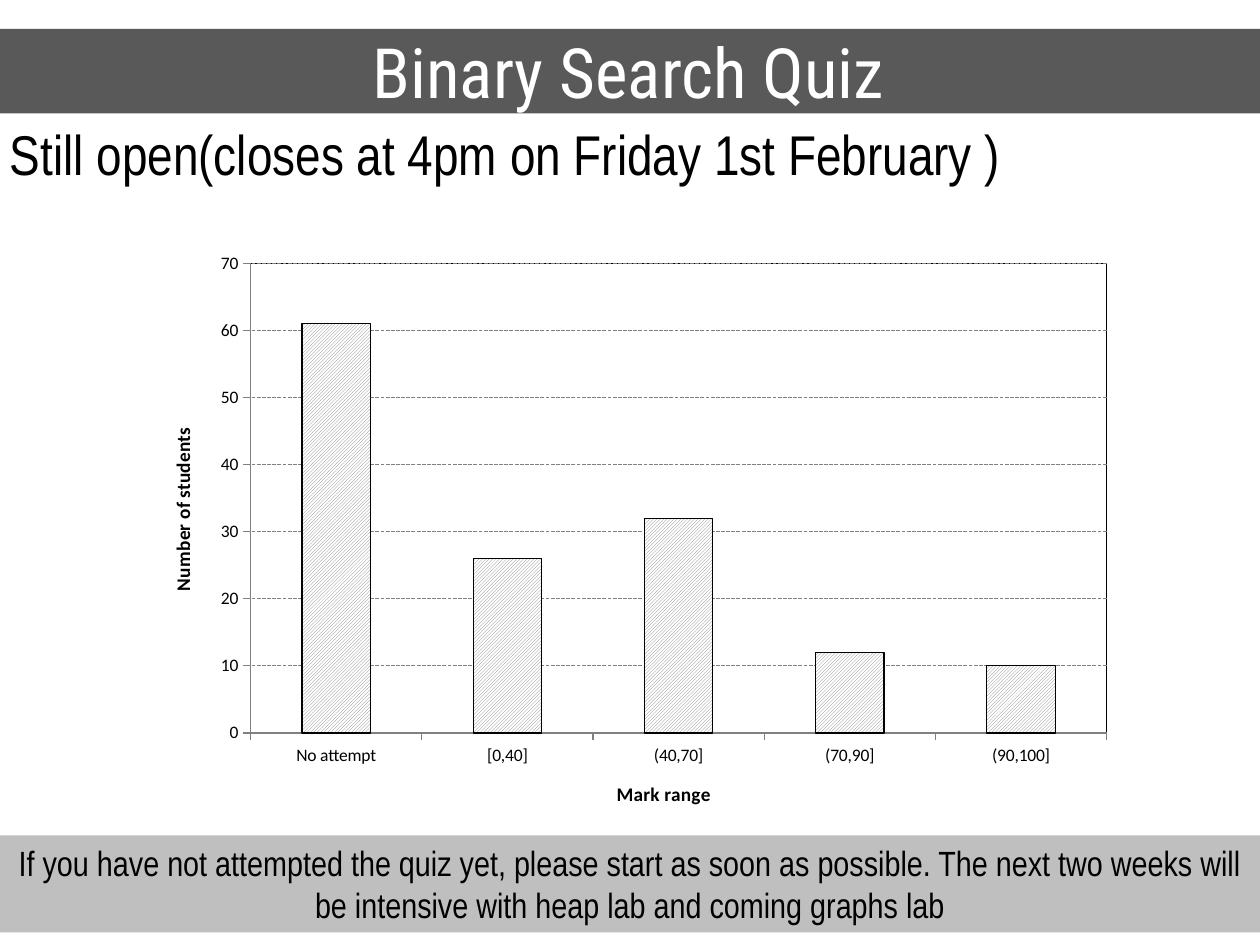
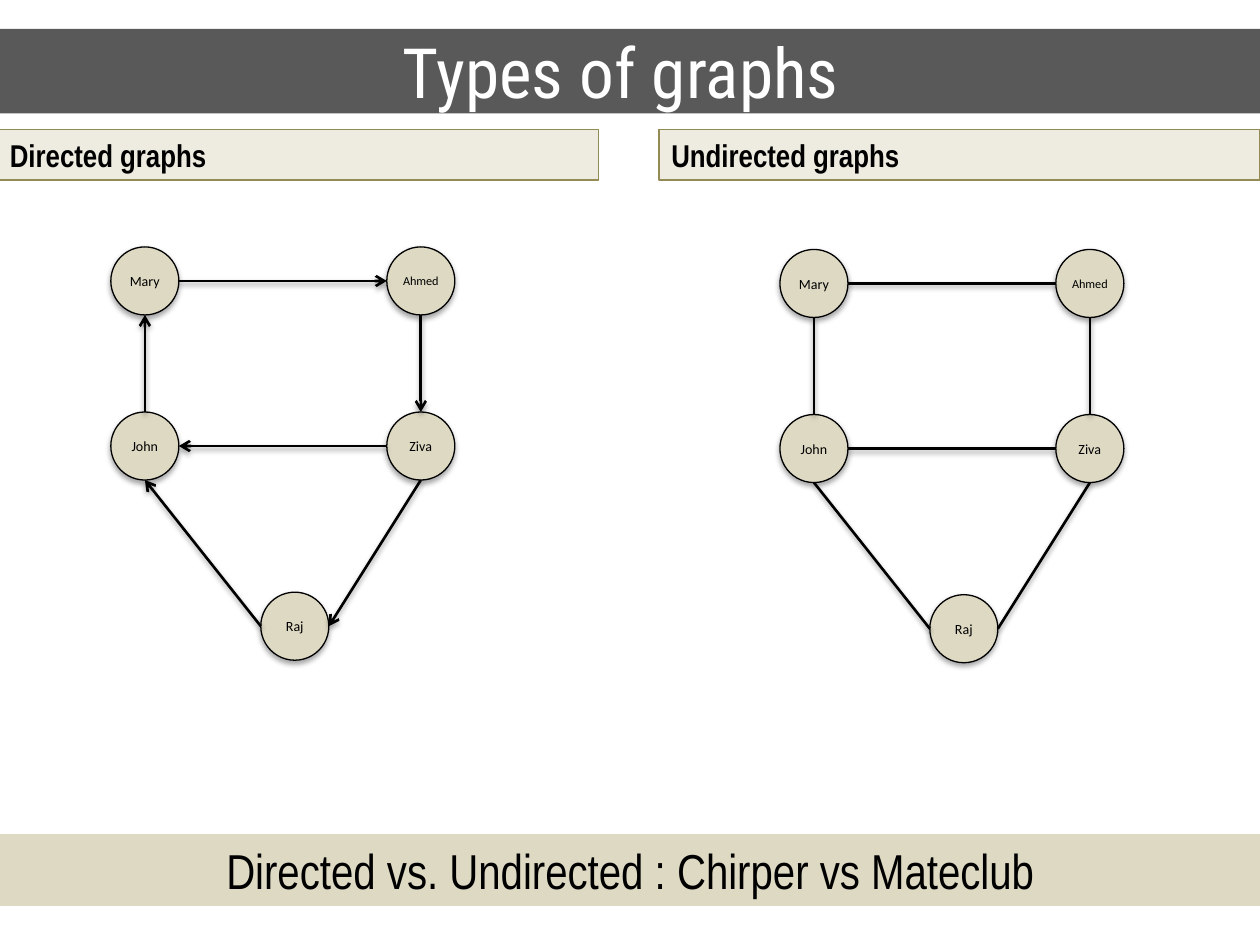
from lxml import etree
from pptx import Presentation
from pptx.chart.data import CategoryChartData
from pptx.dml.color import RGBColor
from pptx.enum.chart import XL_CHART_TYPE, XL_TICK_MARK
from pptx.enum.dml import MSO_LINE, MSO_PATTERN
from pptx.enum.shapes import MSO_CONNECTOR, MSO_SHAPE
from pptx.enum.text import MSO_ANCHOR, PP_ALIGN
from pptx.oxml import parse_xml
from pptx.oxml.ns import nsdecls, qn
from pptx.util import Inches, Pt

RECTANGLE, OVAL = MSO_SHAPE.RECTANGLE, MSO_SHAPE.OVAL
STRAIGHT = MSO_CONNECTOR.STRAIGHT
LEFT, CENTER = PP_ALIGN.LEFT, PP_ALIGN.CENTER
TOP, MIDDLE = MSO_ANCHOR.TOP, MSO_ANCHOR.MIDDLE
COLUMNS = XL_CHART_TYPE.COLUMN_CLUSTERED
TICK_OUTSIDE = XL_TICK_MARK.OUTSIDE
HATCH = MSO_PATTERN.LIGHT_UPWARD_DIAGONAL
FINE_DASH = MSO_LINE.SQUARE_DOT

COLORS = {
    "text": "000000",
    "light": "FFFFFF",
    "title_band": "595959",
    "note": "BFBFBF",
    "sand": "DDD9C3",
    "heading": "EEECE1",
    "heading_line": "948A54",
    "axis": "808080",
}
TITLE_FONT, BODY_FONT, LABEL_FONT = "Roboto Condensed", "Arial Narrow", "Calibri"

NODE_SIZE = 0.54
NODES = {
    "Ziva": (2.19, 1.31),
    "Ahmed": (2.19, 0),
    "John": (0, 1.31),
    "Mary": (0, 0),
    "Raj": (1.19, 2.74),
}
SIDES = {"top": (0.5, 0), "left": (0, 0.5), "bottom": (0.5, 1), "right": (1, 0.5)}
EDGES = [
    ("Mary", "right", "Ahmed", "left"),
    ("Ahmed", "bottom", "Ziva", "top"),
    ("Ziva", "left", "John", "right"),
    ("John", "top", "Mary", "bottom"),
    ("Raj", "left", "John", "bottom"),
    ("Ziva", "bottom", "Raj", "right"),
]


def rgb(name):
    return RGBColor.from_string(COLORS[name])


def style_font(font, name, size, color="text", bold=False):
    font.name = name
    font.size = Pt(size)
    font.bold = bold
    font.color.rgb = rgb(color)


def style_line(line, color, width=0.75):
    line.color.rgb = rgb(color)
    line.width = Pt(width)


def write(shape, text, font, size, color="text", bold=False, align=CENTER, anchor=TOP):
    frame = shape.text_frame
    frame.word_wrap = True
    frame.vertical_anchor = anchor
    para = frame.paragraphs[0]
    para.text = text
    para.alignment = align
    style_font(para.font, font, size, color, bold)


def add_box(page, kind, place, fill, line=None):
    box = page.shapes.add_shape(kind, *map(Inches, place))
    box.shadow.inherit = False
    box.fill.solid()
    box.fill.fore_color.rgb = rgb(fill)
    if line:
        style_line(box.line, line)
    else:
        box.line.fill.background()
    return box


def cast_shadow(properties, distance, opacity):
    for effects in properties.findall(qn("a:effectLst")):
        properties.remove(effects)
    properties.append(parse_xml(
        f'<a:effectLst {nsdecls("a")}><a:outerShdw blurRad="{Pt(3.1)}" '
        f'dist="{Pt(distance)}" dir="5400000" rotWithShape="0">'
        f'<a:srgbClr val="{COLORS["text"]}"><a:alpha val="{opacity * 1000}"/>'
        '</a:srgbClr></a:outerShdw></a:effectLst>'))


def add_title(page, text):
    band = add_box(page, RECTANGLE, (-0.02, 0.23, 10.02, 0.67), "title_band")
    write(band, text, TITLE_FONT, 39.6, "light", anchor=MIDDLE)


def add_footer(page, text, top, height, fill, size):
    band = add_box(page, RECTANGLE, (0, top, 10, height), fill)
    write(band, text, BODY_FONT, size)


def add_heading(page, text, left):
    box = add_box(page, RECTANGLE, (left, 1.03, 4.77, 0.4), "heading", "heading_line")
    write(box, text, BODY_FONT, 18, bold=True, align=LEFT)


def add_node(page, name, left, top):
    node = add_box(page, OVAL, (left, top, NODE_SIZE, NODE_SIZE), "sand", "text")
    cast_shadow(node.element.spPr, 1.8, 35)
    write(node, name, LABEL_FONT, 7 if len(name) > 4 else 8, anchor=MIDDLE)
    frame = node.text_frame
    frame.margin_left = frame.margin_right = Inches(0.04)


def add_edge(page, start, end, directed):
    edge = page.shapes.add_connector(STRAIGHT, *map(Inches, (*start, *end)))
    style_line(edge.line, "text", 1.5)
    properties = edge.element.spPr
    if directed:
        etree.SubElement(properties.find(qn("a:ln")), qn("a:tailEnd"), type="arrow")
    cast_shadow(properties, 1.6, 38)


def add_graph(page, left, top, directed):
    def side_point(name, side):
        (x, y), (across, down) = NODES[name], SIDES[side]
        return left + x + across * NODE_SIZE, top + y + down * NODE_SIZE

    for name, (x, y) in NODES.items():
        add_node(page, name, left + x, top + y)
    for source, source_side, target, target_side in EDGES:
        add_edge(page, side_point(source, source_side),
                 side_point(target, target_side), directed)


def style_axis(axis, title):
    axis.major_tick_mark = TICK_OUTSIDE
    style_line(axis.format.line, "axis")
    para = axis.axis_title.text_frame.paragraphs[0]
    para.text = title
    style_font(para.font, LABEL_FONT, 11, bold=True)


def frame_plot(chart, x, y, width, height):
    plot_area = chart.element.chart.plotArea
    for layout in plot_area.findall(qn("c:layout")):
        plot_area.remove(layout)
    plot_area.insert(0, parse_xml(
        f'<c:layout {nsdecls("c")}><c:manualLayout><c:layoutTarget val="inner"/>'
        '<c:xMode val="edge"/><c:yMode val="edge"/>'
        f'<c:x val="{x}"/><c:y val="{y}"/><c:w val="{width}"/><c:h val="{height}"/>'
        '</c:manualLayout></c:layout>'))
    plot_area.append(parse_xml(
        f'<c:spPr {nsdecls("c", "a")}><a:noFill/><a:ln w="{Pt(0.75)}"><a:solidFill>'
        f'<a:srgbClr val="{COLORS["text"]}"/></a:solidFill></a:ln></c:spPr>'))


def add_marks_chart(page):
    marks = CategoryChartData()
    marks.categories = ["No attempt", "[0,40]", "(40,70]", "(70,90]", "(90,100]"]
    marks.add_series("Series 1", [61, 26, 32, 12, 10])
    place = map(Inches, (1.13, 1.9, 7.81, 4.72))
    chart = page.shapes.add_chart(COLUMNS, *place, marks).chart
    chart.has_legend = False
    chart.has_title = False
    style_font(chart.font, LABEL_FONT, 10)
    style_axis(chart.category_axis, "Mark range")
    counts = chart.value_axis
    style_axis(counts, "Number of students")
    counts.minimum_scale, counts.maximum_scale, counts.major_unit = 0, 70, 10
    grid = counts.major_gridlines.format.line
    style_line(grid, "axis")
    grid.dash_style = FINE_DASH
    plot = chart.plots[0]
    plot.gap_width = 150
    plot.vary_by_categories = False
    bars = plot.series[0].format
    bars.fill.patterned()
    bars.fill.pattern = HATCH
    bars.fill.fore_color.rgb = rgb("axis")
    bars.fill.back_color.rgb = rgb("light")
    style_line(bars.line, "text")
    frame_plot(chart, 0.11, 0.04, 0.87, 0.79)


def build_quiz_page(page):
    add_title(page, "Binary Search Quiz")
    box = page.shapes.add_textbox(*map(Inches, (-0.02, 0.9, 8.14, 1.18)))
    write(box, "Still open(closes at 4pm on Friday 1st February )", BODY_FONT, 32, align=LEFT)
    add_marks_chart(page)
    add_footer(page, "If you have not attempted the quiz yet, please start as soon as "
               "possible. The next two weeks will be intensive with heap lab and "
               "coming graphs lab", 6.63, 0.77, "note", 20)


def build_graphs_page(page):
    add_footer(page, "Directed vs. Undirected : Chirper vs Mateclub", 6.62, 0.57, "sand", 28)
    add_title(page, "Types of graphs ")
    add_heading(page, "Directed graphs", -0.02)
    add_heading(page, "Undirected graphs", 5.23)
    add_graph(page, 0.88, 1.96, directed=True)
    add_graph(page, 6.19, 1.98, directed=False)


def main():
    deck = Presentation()
    deck.slide_width, deck.slide_height = Inches(10), Inches(7.5)
    blank = deck.slide_layouts[6]
    for build in (build_quiz_page, build_graphs_page):
        build(deck.slides.add_slide(blank))
    deck.save("out.pptx")


if __name__ == "__main__":
    main()
